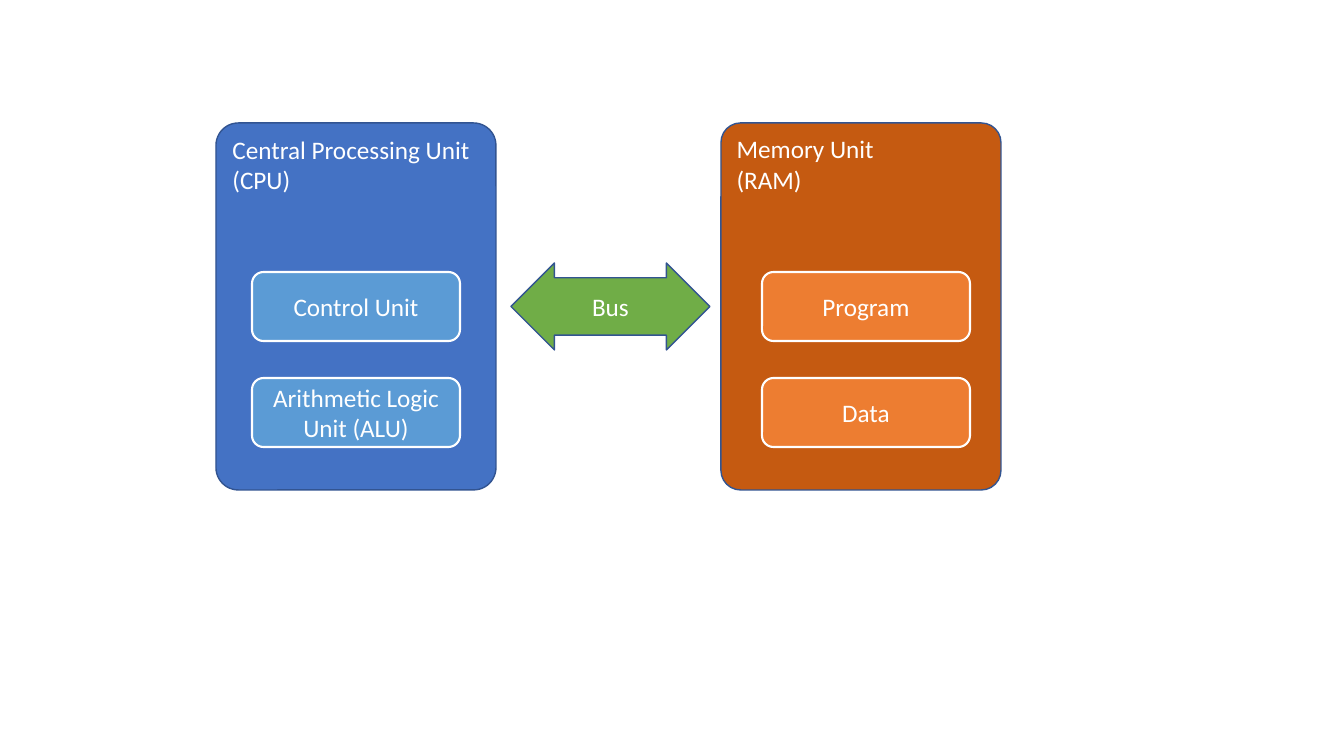
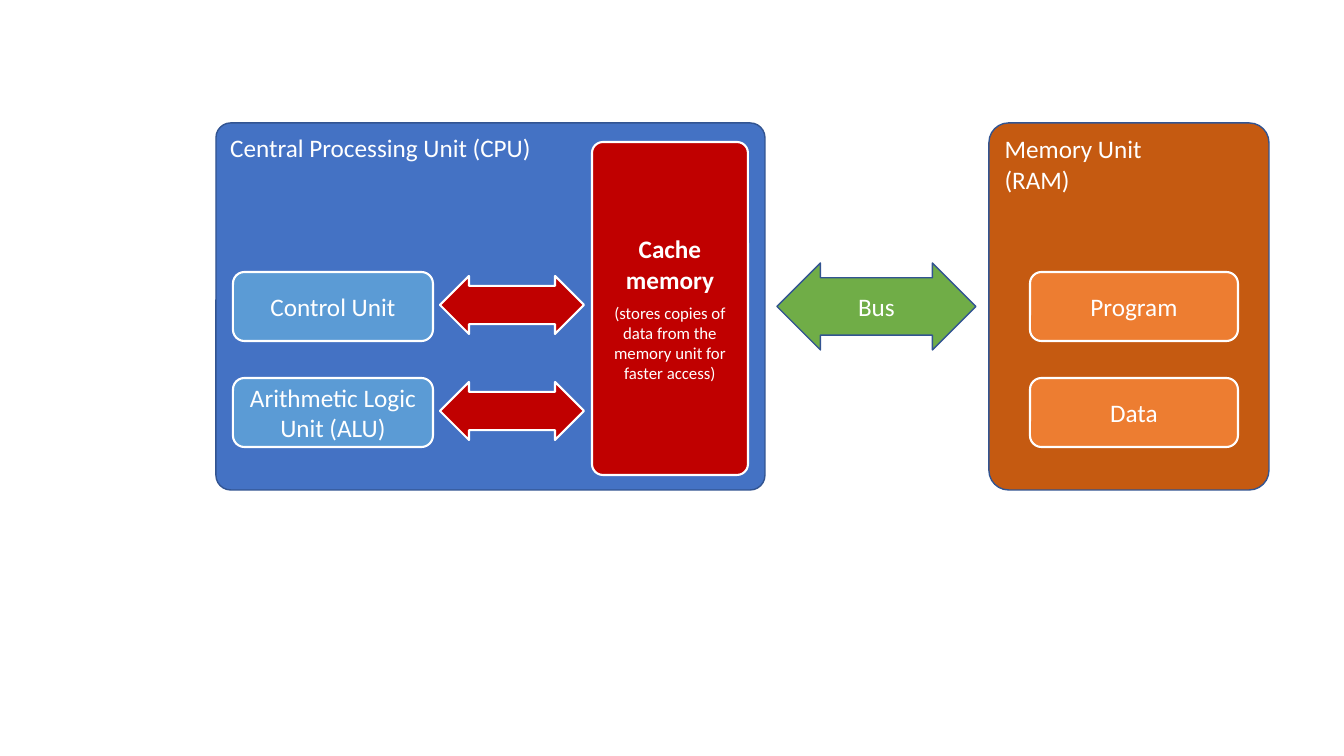
from pptx import Presentation
from pptx.dml.color import RGBColor
from pptx.enum.shapes import MSO_SHAPE
from pptx.enum.text import MSO_ANCHOR, PP_ALIGN
from pptx.util import Pt

PX = 914400 / 100.8
FONT = "Calibri"
WHITE, NAVY = "FFFFFF", "325491"
CPU_BLUE, UNIT_BLUE = "4472C4", "5B9BD5"
RAM_BROWN, STORE_ORANGE = "C55A11", "ED7D31"
BUS_GREEN, CACHE_RED = "70AD47", "C00000"

PANEL_TOP, PANEL_HEIGHT = 123, 367
RAM_WIDTH, STORE_WIDTH, STORE_INDENT = 280, 208, 41
BOX_TOP, BOX_HEIGHT, BOX_PITCH = 272, 69, 106
BUS_TOP, BUS_WIDTH, BUS_HEIGHT = 263, 199, 87
ARROW_ADJUST = (0.66, 0.5)

# A text is a list of paragraphs: (lines, size, bold, space after)
CPU_TITLE = [(["Central Processing Unit (CPU)"], 18, False, 0)]
RAM_TITLE = [(["Memory Unit", "(RAM)"], 18, False, 0)]
BUS_LABEL = [(["Bus"], 18, False, 0)]
CPU_UNITS = ["Control Unit", "Arithmetic Logic Unit (ALU)"]
RAM_STORES = ["Program", "Data"]
CACHE_TEXT = [
    (["Cache"], 18, True, 0),
    (["memory"], 18, True, 6),
    (["(stores copies of data from the memory unit for faster access)"], 12, False, 0),
]

DIAGRAMS = [
    {"cpu": (216, 280), "cpu_corner": 0.08, "units": (252, 208),
     "bus": 511, "ram": 721, "cache": False},
    {"cpu": (216, 549), "cpu_corner": 0.04, "units": (233, 200),
     "bus": 777, "ram": 989, "cache": True},
]
CACHE_BOX = (592, 142, 156, 333)
CACHE_ARROW = (440, 276, 144, 58)


def rgb(color):
    return RGBColor.from_string(color)


def write_text(frame, paragraphs, centred):
    frame.word_wrap = True
    frame.vertical_anchor = MSO_ANCHOR.MIDDLE if centred else MSO_ANCHOR.TOP
    for index, (lines, size, bold, space_after) in enumerate(paragraphs):
        paragraph = frame.paragraphs[0] if index == 0 else frame.add_paragraph()
        paragraph.alignment = PP_ALIGN.CENTER if centred else PP_ALIGN.LEFT
        paragraph.space_after = Pt(space_after)
        for number, line in enumerate(lines):
            if number:
                paragraph.add_line_break()
            run = paragraph.add_run()
            run.text = line
            run.font.name = FONT
            run.font.size = Pt(size)
            run.font.bold = bold
            run.font.color.rgb = rgb(WHITE)


def add_block(slide, preset, box, fill, outline, paragraphs=(), adjust=(), centred=True):
    block = slide.shapes.add_shape(preset, *(round(length * PX) for length in box))
    block.shadow.inherit = False
    block.fill.solid()
    block.fill.fore_color.rgb = rgb(fill)
    block.line.color.rgb = rgb(outline)
    block.line.width = Pt(1.5 if outline == WHITE else 1)
    for index, value in enumerate(adjust):
        block.adjustments[index] = value
    write_text(block.text_frame, paragraphs, centred)


def add_panel(slide, left, width, fill, title, corner):
    add_block(slide, MSO_SHAPE.ROUNDED_RECTANGLE, (left, PANEL_TOP, width, PANEL_HEIGHT),
              fill, NAVY, title, (corner,), centred=False)


def add_box_column(slide, left, width, fill, labels):
    for row, label in enumerate(labels):
        add_block(slide, MSO_SHAPE.ROUNDED_RECTANGLE,
                  (left, BOX_TOP + row * BOX_PITCH, width, BOX_HEIGHT),
                  fill, WHITE, [([label], 18, False, 0)])


def add_cache(slide):
    add_block(slide, MSO_SHAPE.ROUNDED_RECTANGLE, CACHE_BOX,
              CACHE_RED, WHITE, CACHE_TEXT, (0.07,))
    left, top, width, height = CACHE_ARROW
    for row in range(len(CPU_UNITS)):
        add_block(slide, MSO_SHAPE.LEFT_RIGHT_ARROW,
                  (left, top + row * BOX_PITCH, width, height),
                  CACHE_RED, WHITE, adjust=ARROW_ADJUST)


def add_diagram(slide, diagram):
    add_panel(slide, *diagram["cpu"], CPU_BLUE, CPU_TITLE, diagram["cpu_corner"])
    add_panel(slide, diagram["ram"], RAM_WIDTH, RAM_BROWN, RAM_TITLE, 0.07)
    add_block(slide, MSO_SHAPE.LEFT_RIGHT_ARROW,
              (diagram["bus"], BUS_TOP, BUS_WIDTH, BUS_HEIGHT),
              BUS_GREEN, NAVY, BUS_LABEL, ARROW_ADJUST)
    add_box_column(slide, *diagram["units"], UNIT_BLUE, CPU_UNITS)
    add_box_column(slide, diagram["ram"] + STORE_INDENT, STORE_WIDTH,
                   STORE_ORANGE, RAM_STORES)
    if diagram["cache"]:
        add_cache(slide)


def main():
    presentation = Presentation()
    presentation.slide_width = round(1344 * PX)
    presentation.slide_height = round(756 * PX)
    blank = presentation.slide_layouts[6]
    for diagram in DIAGRAMS:
        add_diagram(presentation.slides.add_slide(blank), diagram)
    presentation.save("out.pptx")


if __name__ == "__main__":
    main()
